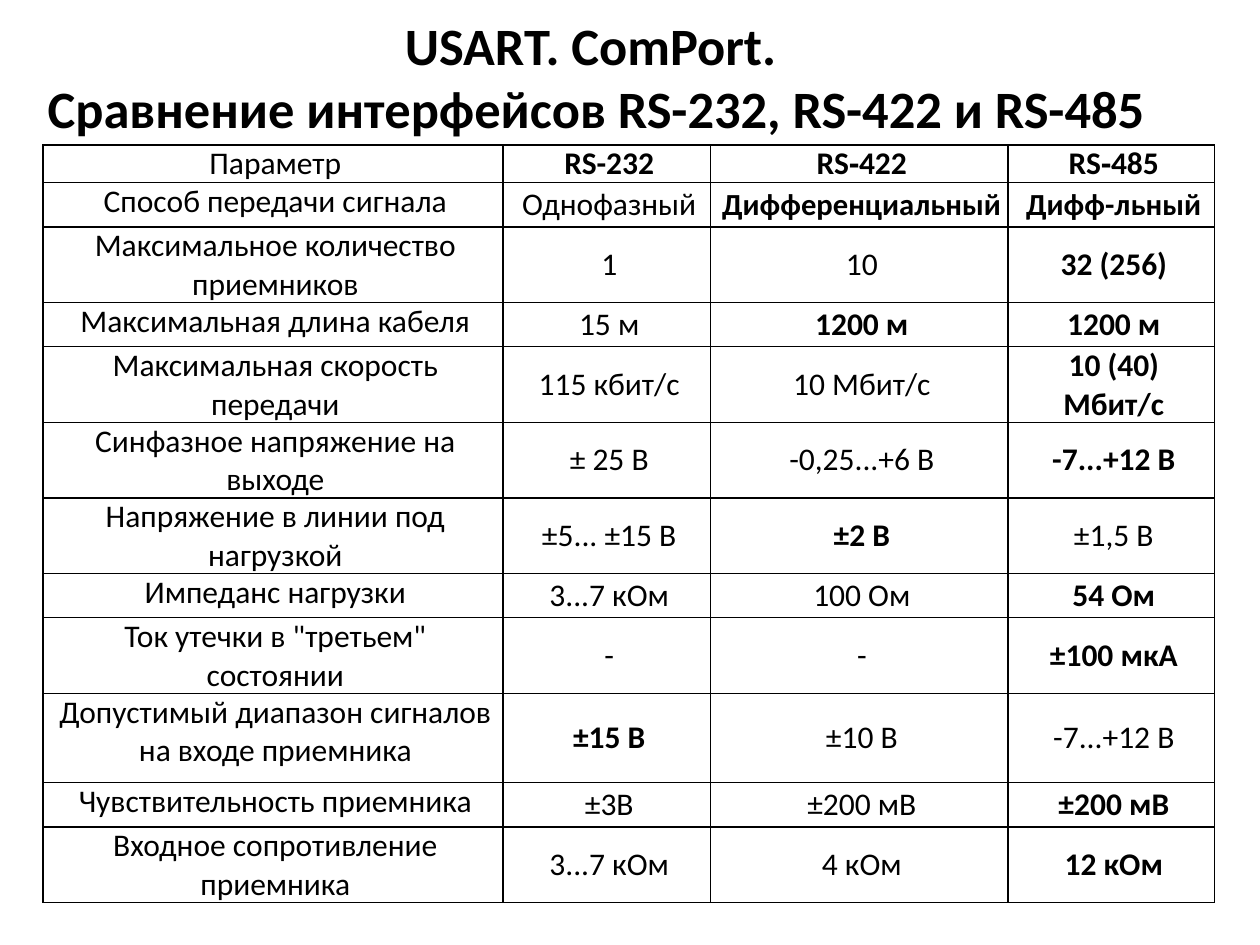
from dataclasses import dataclass

from lxml.etree import SubElement
from pptx import Presentation
from pptx.dml.color import RGBColor
from pptx.enum.text import MSO_ANCHOR, PP_ALIGN
from pptx.oxml.ns import qn
from pptx.table import _Cell
from pptx.text.text import TextFrame
from pptx.util import Inches, Pt

COLORS = {"text": "000000", "border": "000000"}
FONT = "Calibri"
INDENT = Inches(0.04)
COLUMN_WIDTHS = (3.65, 1.65, 2.36, 1.64)


@dataclass
class Parameter:
    """One table row; `bold` lists the columns set in bold."""
    height: float
    texts: tuple[str, ...]
    bold: tuple[int, ...] = (3,)


HEADER = Parameter(0.18, ("Параметр", "RS-232", "RS‑422", "RS‑485"), (1, 2, 3))
PARAMETERS = (
    Parameter(0.35, ("Способ передачи сигнала", "Однофазный",
                     "Дифференциальный", "Дифф-льный"), (2, 3)),
    Parameter(0.53, ("Максимальное количество приемников", "1", "10", "32 (256)")),
    Parameter(0.35, ("Максимальная длина кабеля", "15 м", "1200 м", "1200 м"), (2, 3)),
    Parameter(0.53, ("Максимальная скорость передачи", "115 кбит/с",
                     "10 Мбит/с", "10 (40) Мбит/с")),
    Parameter(0.53, ("Синфазное напряжение на выходе", "± 25 В",
                     "-0,25...+6 В", "-7...+12 В")),
    Parameter(0.53, ("Напряжение в линии под нагрузкой", "±5... ±15 В",
                     "±2 В", "±1,5 В"), (2,)),
    Parameter(0.35, ("Импеданс нагрузки", "3...7 кОм", "100 Ом", "54 Ом")),
    Parameter(0.53, ('Ток утечки в "третьем" состоянии', "-", "-", "±100 мкА")),
    Parameter(0.71, ("Допустимый диапазон сигналов на входе приемника",
                     "±15 В", "±10 В", "-7...+12 В"), (1,)),
    Parameter(0.35, ("Чувствительность приемника", "±3В", "±200 мВ", "±200 мВ")),
    Parameter(0.53, ("Входное сопротивление приемника", "3...7 кОм", "4 кОм", "12 кОм")),
)


def write(frame: TextFrame, text: str, *, size: float = 18, bold: bool = False) -> None:
    """Write centred text; a vertical tab in it makes a line break."""
    frame.word_wrap = True
    paragraph = frame.paragraphs[0]
    paragraph.text = text
    paragraph.alignment = PP_ALIGN.CENTER
    properties = paragraph._p.get_or_add_pPr()
    properties.set("marL", str(INDENT))
    properties.set("indent", "0")
    for run in paragraph.runs:
        run.font.name = FONT
        run.font.size = Pt(size)
        run.font.bold = bold
        run.font.color.rgb = RGBColor.from_string(COLORS["text"])


def style_cell(cell: _Cell, anchor: MSO_ANCHOR) -> None:
    cell.margin_left = cell.margin_right = INDENT
    cell.margin_top = cell.margin_bottom = 0
    cell.vertical_anchor = anchor
    properties = cell._tc.get_or_add_tcPr()
    for side in ("a:lnL", "a:lnR", "a:lnT", "a:lnB"):
        line = SubElement(properties, qn(side), w=str(Pt(1)))
        fill = SubElement(line, qn("a:solidFill"))
        SubElement(fill, qn("a:srgbClr"), val=COLORS["border"])
    cell.fill.background()


def add_comparison(slide) -> None:
    rows = (HEADER, *PARAMETERS)
    table = slide.shapes.add_table(
        len(rows), len(COLUMN_WIDTHS), Inches(0.34), Inches(1.15),
        Inches(sum(COLUMN_WIDTHS)), Inches(sum(row.height for row in rows))).table
    table.first_row = table.horz_banding = False
    for column, width in zip(table.columns, COLUMN_WIDTHS):
        column.width = Inches(width)
    for i, row in enumerate(rows):
        table.rows[i].height = Inches(row.height)
        for j, text in enumerate(row.texts):
            cell = table.cell(i, j)
            is_name = i > 0 and j == 0
            style_cell(cell, MSO_ANCHOR.TOP if is_name else MSO_ANCHOR.MIDDLE)
            # The long words of the signalling row need a slightly smaller size.
            size = 17.5 if text.startswith("Дифф") else 18
            write(cell.text_frame, text, size=size, bold=j in row.bold)


def main() -> None:
    presentation = Presentation()
    presentation.slide_width = Inches(10)
    presentation.slide_height = Inches(7.5)
    slide = presentation.slides.add_slide(presentation.slide_layouts[6])

    title = slide.shapes.add_textbox(0, Inches(0.13), Inches(9.43), Inches(0.94)).text_frame
    title.vertical_anchor = MSO_ANCHOR.MIDDLE
    write(title, "USART. ComPort. \vСравнение интерфейсов RS-232, RS-422 и RS-485",
          size=30, bold=True)
    add_comparison(slide)
    presentation.save("out.pptx")


if __name__ == "__main__":
    main()
